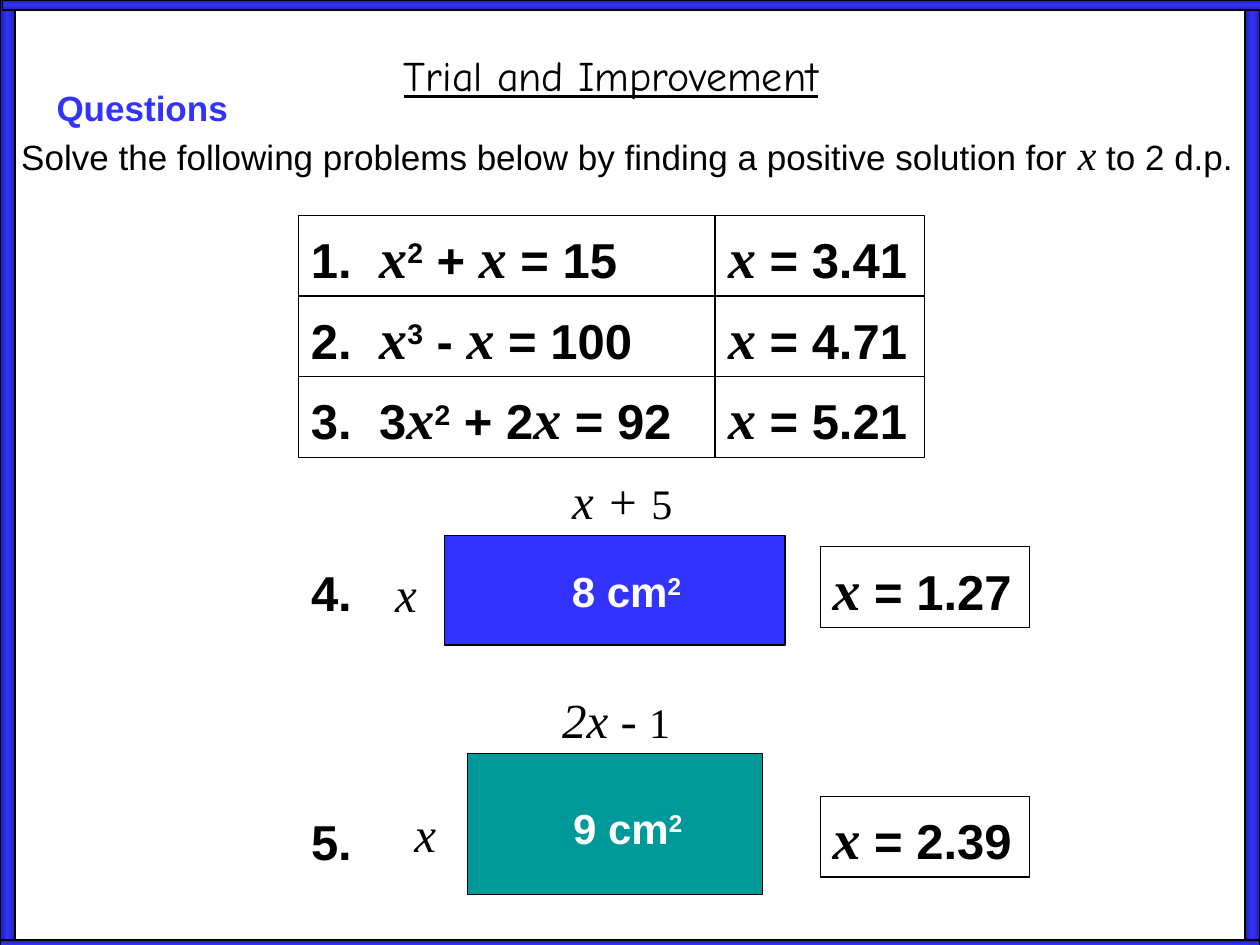
import copy
from dataclasses import dataclass

import pptx
import pptx.dml.color
import pptx.enum.shapes
import pptx.enum.text
import pptx.oxml.ns
import pptx.util

Pt = pptx.util.Pt
RGB = pptx.dml.color.RGBColor
ALIGN = pptx.enum.text.PP_ALIGN
ANCHOR = pptx.enum.text.MSO_ANCHOR
RECT = pptx.enum.shapes.MSO_SHAPE.RECTANGLE
qn = pptx.oxml.ns.qn


@dataclass(frozen=True)
class Theme:
    black: str = "000000"
    white: str = "FFFFFF"
    blue: str = "3333FF"
    dark_blue: str = "2121A8"
    teal: str = "009999"
    sans: str = "Arial"
    serif: str = "Times New Roman"
    title: str = "Comic Neue"
    body: float = 20
    medium: float = 24
    large: float = 28
    variable: float = 32
    line: float = 0.75


T = Theme()


@dataclass(frozen=True)
class Box:
    left: float
    top: float
    width: float
    height: float

    def lengths(self) -> tuple:
        return Pt(self.left), Pt(self.top), Pt(self.width), Pt(self.height)


@dataclass(frozen=True)
class Equation:
    number: str
    factor: str
    power: str
    middle: str
    end: str
    answer: str


@dataclass(frozen=True)
class AreaProblem:
    number: str
    rect: Box
    color: str
    side_center: float
    top_expr: str
    top_digit: str
    top_box: Box
    area: str
    area_left: float
    area_top: float
    answer: str
    answer_top: float


EQUATIONS = [
    Equation("1.", "", "2", " + ", " = 15", " = 3.41"),
    Equation("2.", "", "3", " - ", " = 100", " = 4.71"),
    Equation("3.", "3", "2", " + 2", " = 92", " = 5.21"),
]
PROBLEMS = [
    AreaProblem("4.", Box(254.16, 306, 194.4, 62.64), T.blue, 232,
                "x + ", "5", Box(311, 265, 89.28, 41.04),
                "8 cm", 319.68, 319.68, " = 1.27", 312.48),
    AreaProblem("5.", Box(267.12, 430.56, 168.48, 80.64), T.teal, 243,
                "2x - ", "1", Box(307.5, 390.24, 89.28, 41.04),
                "9 cm", 320.4, 455.04, " = 2.39", 455.04),
]
QUESTION_LEFT, ANSWER_LEFT = 170.64, 408.96
QUESTION_WIDTH, ANSWER_WIDTH = 237.6, 119.52
ROW_TOP, ROW_HEIGHT = 123.12, 46.08
SIDE_ANSWER_LEFT = 468.72
NUMBER_DROP, NUMBER_HEIGHT = 5.04, 41.04
EQUATION_TAB = 39


def add_run(p, text: str, *, size: float = T.large, font: str = T.sans,
            color: str = T.black, bold: bool = False, italic: bool = False,
            underline: bool = False, superscript: bool = False) -> None:
    r = p.add_run()
    r.text = text
    r.font.size, r.font.name = Pt(size), font
    r.font.bold, r.font.italic, r.font.underline = bold, italic, underline
    r.font.color.rgb = RGB.from_string(color)
    if superscript:
        r._r.get_or_add_rPr().set("baseline", "30000")


def add_bold_x(p) -> None:
    add_run(p, "x", size=T.variable, font=T.serif, bold=True, italic=True)


def add_rect(shapes, box: Box):
    """Add an outlined rectangle with no fill."""
    s = shapes.add_shape(RECT, *box.lengths())
    s.shadow.inherit = False
    s.fill.background()
    s.line.color.rgb = RGB.from_string(T.black)
    s.line.width = Pt(T.line)
    return s


def add_bar(shapes, box: Box, angle: float) -> None:
    """Add a frame bar shaded dark, light, dark."""
    s = add_rect(shapes, box)
    s.fill.gradient()
    s.fill.gradient_angle = angle
    stops = s._element.spPr.find(".//" + qn("a:gsLst"))
    stops.insert(1, copy.deepcopy(stops[0]))
    colors = (T.dark_blue, T.blue, T.dark_blue)
    for stop, position, color in zip(s.fill.gradient_stops, (0, 0.5, 1), colors):
        stop.position = position
        stop.color.rgb = RGB.from_string(color)


def first_paragraph(s, align=ALIGN.LEFT):
    tf = s.text_frame
    tf.word_wrap = True
    tf.vertical_anchor = ANCHOR.BOTTOM
    p = tf.paragraphs[0]
    p.alignment = align
    return p


def add_text(shapes, box: Box, align=ALIGN.LEFT):
    """Add a text box and return its paragraph."""
    return first_paragraph(shapes.add_textbox(*box.lengths()), align)


def add_answer(shapes, left: float, top: float, value: str) -> None:
    p = first_paragraph(add_rect(shapes, Box(left, top, ANSWER_WIDTH, ROW_HEIGHT)))
    add_bold_x(p)
    add_run(p, value, bold=True)


def add_equation(shapes, top: float, eq: Equation) -> None:
    p = first_paragraph(add_rect(shapes, Box(QUESTION_LEFT, top, QUESTION_WIDTH, ROW_HEIGHT)))
    tabs = p._p.get_or_add_pPr().makeelement(qn("a:tabLst"), {})
    p._p.get_or_add_pPr().append(tabs)
    tabs.append(tabs.makeelement(qn("a:tab"), {"pos": str(int(Pt(EQUATION_TAB))), "algn": "l"}))
    add_run(p, f"{eq.number}\t{eq.factor}", bold=True)
    add_bold_x(p)
    add_run(p, eq.power, bold=True, superscript=True)
    add_run(p, eq.middle, bold=True)
    add_bold_x(p)
    add_run(p, eq.end, bold=True)
    add_answer(shapes, ANSWER_LEFT, top, eq.answer)


def add_area_problem(shapes, pr: AreaProblem) -> None:
    s = add_rect(shapes, pr.rect)
    s.fill.solid()
    s.fill.fore_color.rgb = RGB.from_string(pr.color)
    number_top = pr.answer_top + NUMBER_DROP
    p = add_text(shapes, Box(QUESTION_LEFT, number_top, 49.68, NUMBER_HEIGHT))
    add_run(p, pr.number, bold=True)
    side = Box(pr.side_center - 20, number_top + 0.72, 40, NUMBER_HEIGHT)
    if pr.color == T.teal:
        side = Box(side.left, pr.area_top, side.width, side.height)
    add_run(add_text(shapes, side, ALIGN.CENTER), "x", font=T.serif, italic=True)
    p = add_text(shapes, pr.top_box, ALIGN.CENTER)
    add_run(p, pr.top_expr, font=T.serif, italic=True)
    add_run(p, pr.top_digit, size=T.medium, font=T.serif)
    p = add_text(shapes, Box(pr.area_left, pr.area_top, 102.96, 36))
    label = dict(size=T.medium, color=T.white, bold=True)
    add_run(p, pr.area, **label)
    add_run(p, "2", superscript=True, **label)
    add_answer(shapes, SIDE_ANSWER_LEFT, pr.answer_top, pr.answer)


def main() -> None:
    prs = pptx.Presentation()
    prs.slide_width, prs.slide_height = Pt(720), Pt(540)
    shapes = prs.slides.add_slide(prs.slide_layouts[6]).shapes

    for left in (0, 711.36):
        add_bar(shapes, Box(left, 0, 8.64, 540), 0)
    for left, top in ((1.44, 0), (0, 537.12)):
        add_bar(shapes, Box(left, top, 720, 5.76), 90)

    p = add_text(shapes, Box(107.28, 24.48, 483.84, 36), ALIGN.CENTER)
    add_run(p, "Trial and Improvement", size=T.medium, font=T.title, underline=True)
    p = add_text(shapes, Box(25.2, 45.36, 136.08, 31.68))
    add_run(p, "Questions", size=T.body, color=T.blue, bold=True)
    p = add_text(shapes, Box(5.04, 69.84, 733.68, 36))
    add_run(p, "Solve the following problems below by finding a positive solution for ", size=T.body)
    add_run(p, "x", size=T.medium, font=T.serif, italic=True)
    add_run(p, " to 2 d.p.", size=T.body)

    for i, eq in enumerate(EQUATIONS):
        add_equation(shapes, ROW_TOP + i * ROW_HEIGHT, eq)
    for problem in PROBLEMS:
        add_area_problem(shapes, problem)
    prs.save("out.pptx")


if __name__ == "__main__":
    main()
